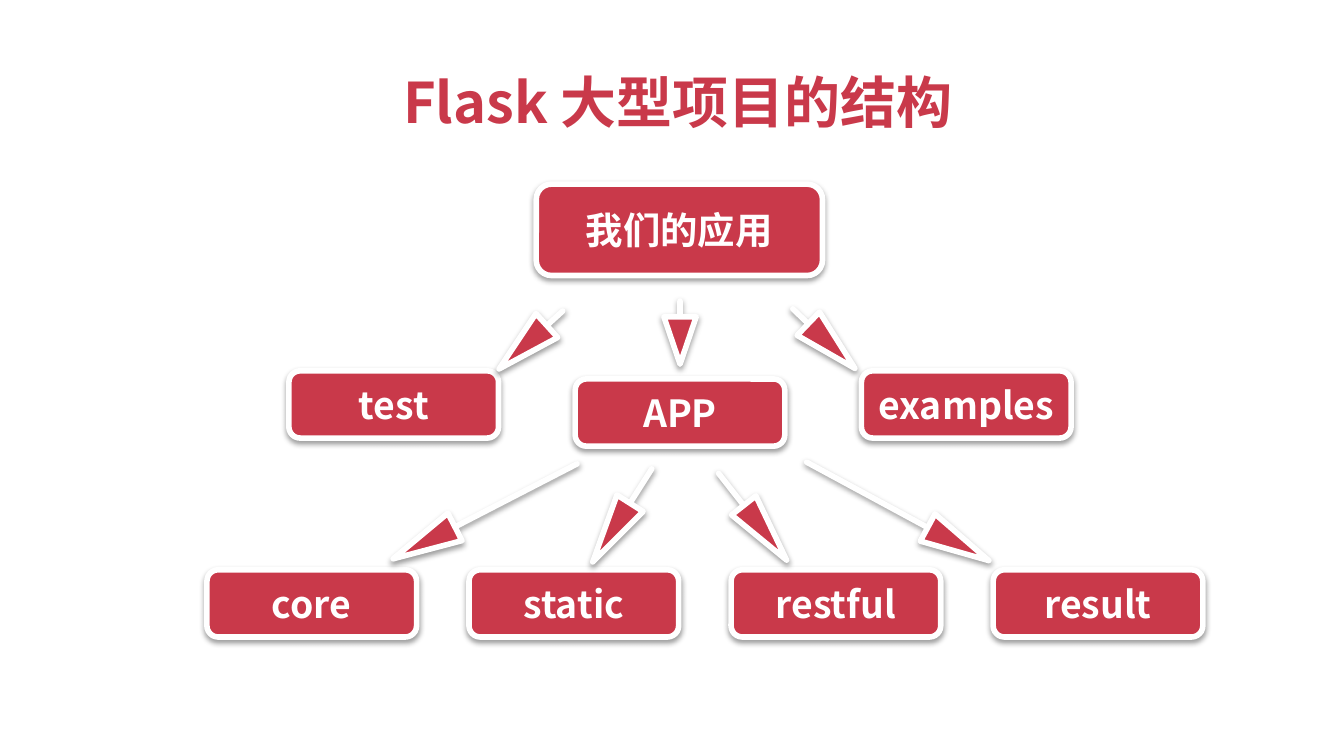
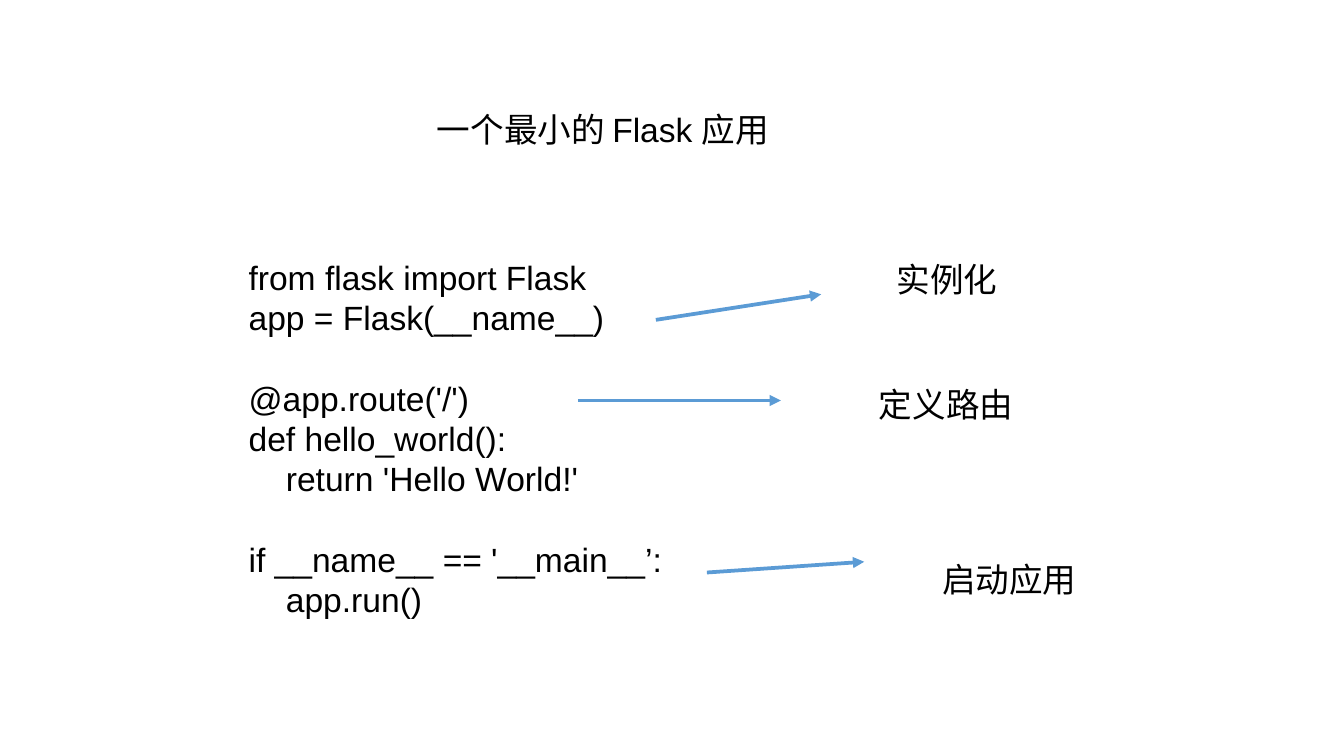
from lxml import etree
from pptx import Presentation
from pptx.dml.color import RGBColor
from pptx.enum.shapes import MSO_CONNECTOR, MSO_SHAPE
from pptx.enum.text import MSO_ANCHOR, MSO_AUTO_SIZE, PP_ALIGN
from pptx.oxml import parse_xml
from pptx.oxml.ns import qn
from pptx.util import Inches, Pt

ROUNDED, LEFT_ARROW = MSO_SHAPE.ROUNDED_RECTANGLE, MSO_SHAPE.LEFT_ARROW
STRAIGHT = MSO_CONNECTOR.STRAIGHT
TOP, MIDDLE = MSO_ANCHOR.TOP, MSO_ANCHOR.MIDDLE
LEFT, CENTER = PP_ALIGN.LEFT, PP_ALIGN.CENTER
FIT_SHAPE = MSO_AUTO_SIZE.SHAPE_TO_FIT_TEXT
TITLE_ONLY = 5

COLORS = {"red": "C9394A", "white": "FFFFFF", "black": "000000", "blue": "5B9BD5"}
CJK, ARIAL = "Noto Sans CJK SC", "Arial"
LEADING = 1.2
CODE = [
    ["from flask import Flask", "app = Flask(__name__)"],
    ["@app.route('/')", "def hello_world():", "    return 'Hello World!'"],
    ["if __name__ == '__main__’:", "    app.run()"],
]
SHADOW = (
    '<a:effectLst xmlns:a="http://schemas.openxmlformats.org/drawingml/2006/main">'
    '<a:outerShdw blurRad="38100" dist="20320" dir="5400000" rotWithShape="0">'
    '<a:srgbClr val="000000"><a:alpha val="38000"/></a:srgbClr>'
    "</a:outerShdw></a:effectLst>"
)


def color(name):
    return RGBColor.from_string(COLORS[name])


def place(shape, box):
    shape.left, shape.top, shape.width, shape.height = map(Inches, box)


def set_frame(frame, anchor=TOP, wrap=True):
    frame.word_wrap = wrap
    frame.vertical_anchor = anchor
    frame.margin_left = frame.margin_right = Inches(0.05)
    frame.margin_top = frame.margin_bottom = Inches(0.05)


def style(para, size, face, ink, bold=False, align=LEFT):
    para.alignment = align
    font = para.font
    font.size, font.name, font.bold = Pt(size), face, bold
    font.color.rgb = color(ink)


def add_page(deck, title, box, size, face, ink, bold=False):
    page = deck.slides.add_slide(deck.slide_layouts[TITLE_ONLY])
    holder = page.shapes.title
    place(holder, box)
    frame = holder.text_frame
    set_frame(frame)
    frame.auto_size = FIT_SHAPE
    frame.text = title
    para = frame.paragraphs[0]
    style(para, size, face, ink, bold)
    para.line_spacing = Pt(size * LEADING)
    return page


def paint_red(shape):
    shape.fill.solid()
    shape.fill.fore_color.rgb = color("red")
    shape.line.color.rgb = color("white")
    shape.line.width = Pt(3)
    shape.shadow.inherit = False
    effects = shape._element.spPr.find(qn("a:effectLst"))
    effects.getparent().replace(effects, parse_xml(SHADOW))


def add_node(page, name, left, top, width=1.56, height=0.5):
    node = page.shapes.add_shape(ROUNDED, *map(Inches, (left, top, width, height)))
    paint_red(node)
    set_frame(node.text_frame, MIDDLE)
    node.text_frame.text = name
    style(node.text_frame.paragraphs[0], 20, CJK, "white", True, CENTER)


def add_down_arrow(page, box, rotation):
    left, top, width, height = box
    center, neck = left + width / 2, top + height / 4
    builder = page.shapes.build_freeform(Inches(left), Inches(neck))
    points = [(center, neck), (center, top), (center, neck),
              (left + width, neck), (center, top + height)]
    builder.add_line_segments([(Inches(x), Inches(y)) for x, y in points])
    arrow = builder.convert_to_shape()
    arrow.rotation = rotation
    paint_red(arrow)


def add_left_arrow(page, box, rotation):
    arrow = page.shapes.add_shape(LEFT_ARROW, *map(Inches, box))
    arrow.adjustments[0] = 0
    arrow.adjustments[1] = 2.25
    arrow.rotation = rotation
    paint_red(arrow)


def build_structure(deck):
    page = add_page(deck, "Flask 大型项目的结构", (2.95, 0.45, 4.21, 0.68),
                    30, CJK, "red", True)
    add_node(page, "我们的应用", 3.99, 1.37, 2.13, 0.68)
    for name, left, top in (("test", 2.15, 2.76), ("APP", 4.28, 2.82),
                            ("examples", 6.41, 2.76)):
        add_node(page, name, left, top)
    for column, name in enumerate(("core", "static", "restful", "result")):
        add_node(page, name, 1.54 + 1.95 * column, 4.24)
    for box, rotation in (((4.94, 2.24, 0.24, 0.47), 0),
                          ((3.83, 2.21, 0.24, 0.64), 47.7),
                          ((6.01, 2.2, 0.24, 0.64), 313.8)):
        add_down_arrow(page, box, rotation)
    for box, rotation in (((2.84, 3.69, 1.54, 0.23), 332.7),
                          ((5.91, 3.69, 1.54, 0.23), 208.4),
                          ((4.22, 3.72, 0.82, 0.23), 302.4),
                          ((5.19, 3.73, 0.82, 0.23), 231.9)):
        add_left_arrow(page, box, rotation)


def add_text(page, box):
    text_box = page.shapes.add_textbox(*map(Inches, box))
    set_frame(text_box.text_frame, wrap=False)
    return text_box.text_frame


def add_code(page, box):
    frame = add_text(page, box)
    frame.margin_top = Inches(0.35)
    para = frame.paragraphs[0]
    for block_index, block in enumerate(CODE):
        for line_index, line in enumerate(block):
            if block_index or line_index:
                para = frame.add_paragraph()
            para.text = line
            style(para, 18, ARIAL, "black")
            para.line_spacing = Pt(18 * LEADING)
            if block_index and not line_index:
                para.space_before = Pt(18 * LEADING)


def add_callout(page, label, box, start, end):
    pointer = page.shapes.add_connector(STRAIGHT, *map(Inches, start + end))
    pointer.line.color.rgb = color("blue")
    pointer.line.width = Pt(2)
    line = pointer.line._get_or_add_ln()
    etree.SubElement(line, qn("a:tailEnd"), type="triangle")
    etree.SubElement(pointer._element.spPr, qn("a:effectLst"))
    frame = add_text(page, box)
    frame.text = label
    para = frame.paragraphs[0]
    style(para, 18, ARIAL, "black")
    para.line_spacing = Pt(18 * LEADING)


def build_minimal_app(deck):
    page = add_page(deck, "一个最小的 Flask 应用", (3.2, 0.76, 2.61, 0.4),
                    18, ARIAL, "black")
    add_code(page, (1.8, 1.56, 3.2, 3.43))
    add_callout(page, "实例化", (6.62, 1.88, 0.86, 0.4), (4.88, 2.38), (6.11, 2.19))
    add_callout(page, "定义路由", (6.49, 2.81, 1.11, 0.4), (4.3, 2.98), (5.81, 2.98))
    add_callout(page, "启动应用", (6.96, 4.11, 1.11, 0.4), (5.26, 4.26), (6.43, 4.18))


def main():
    deck = Presentation()
    deck.slide_width = Inches(10)
    deck.slide_height = deck.slide_width * 9 // 16
    build_structure(deck)
    build_minimal_app(deck)
    deck.save("out.pptx")


if __name__ == "__main__":
    main()
